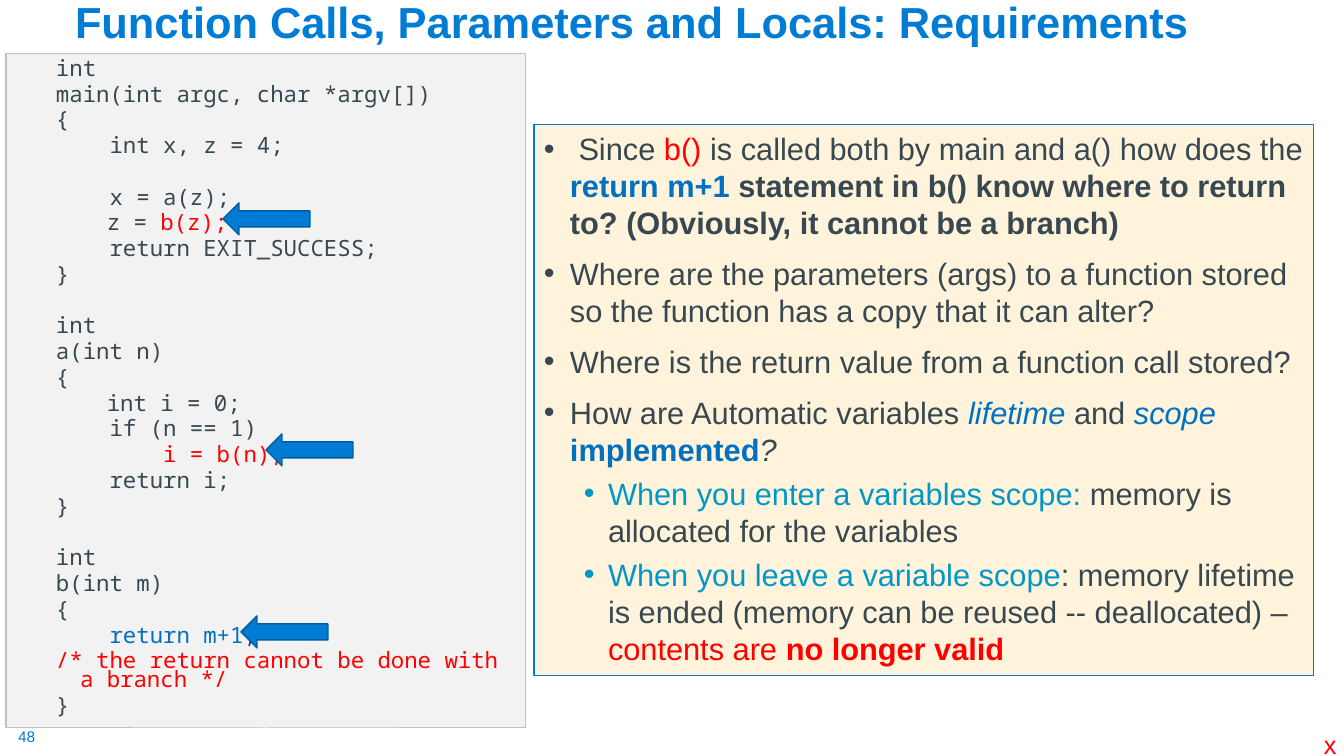
from lxml import etree
from pptx import Presentation
from pptx.dml.color import RGBColor
from pptx.enum.shapes import MSO_SHAPE
from pptx.enum.text import MSO_ANCHOR, PP_ALIGN
from pptx.oxml.ns import qn
from pptx.util import Pt

RECTANGLE, LEFT_ARROW = MSO_SHAPE.RECTANGLE, MSO_SHAPE.LEFT_ARROW
TOP, BOTTOM = MSO_ANCHOR.TOP, MSO_ANCHOR.BOTTOM
LEFT = PP_ALIGN.LEFT
EMU_PER_PX = 914400 / 100.8
SANS, MONO = "Arial", "Noto Sans Mono"
COLORS = {
    "brand": "007CD5", "arrow_edge": "005C9E", "ink": "384851",
    "blue": "0070C0", "teal": "0098C9", "red": "FF0000",
    "code_fill": "F2F2F2", "code_edge": "BFBFBF", "notes_fill": "FFF4DB",
}
CODE_LEADING, CODE_GAP = 13.4, 5

# Each block is a list of lines, each line a list of (text, colour) runs.
CODE_BLOCKS = [
    [
        [("int", "ink")],
        [("main(int argc, char *argv[])", "ink")],
        [("{", "ink")],
        [("    int x, z = 4;", "ink")],
    ],
    [
        [("    x = a(z);", "ink")],
        [("\t  z = ", "ink"), ("b(z);", "red")],
        [("    return EXIT_SUCCESS;", "ink")],
        [("}", "ink")],
    ],
    [
        [("int", "ink")],
        [("a(int n)", "ink")],
        [("{", "ink")],
        [("\t  int i = 0;", "ink")],
        [("    if (n == 1)", "ink")],
        [("        i = b(n);", "red")],
        [("    return i;", "ink")],
        [("}", "ink")],
    ],
    [
        [("int", "ink")],
        [("b(int m)", "ink")],
        [("{", "ink")],
        [("    return m+1", "blue"), (";", "ink")],
        [("/* the return cannot be done with a branch */", "red")],
        [("}", "ink")],
    ],
]

# Each question is (level, runs); a run may name bold or italic.
QUESTIONS = [
    (0, [(" Since ", "ink"), ("b() ", "red"),
         ("is called both by main and a() how does the ", "ink"),
         ("return m+1 ", "blue", "bold"),
         ("statement in b() know where to return to? "
          "(Obviously, it cannot be a branch)", "ink", "bold")]),
    (0, [("Where are the parameters (args) to a function stored "
          "so the function has a copy that it can alter?", "ink")]),
    (0, [("Where is the return value from a function call stored?", "ink")]),
    (0, [("How are Automatic variables ", "ink"),
         ("lifetime ", "blue", "italic"), ("and ", "ink"),
         ("scope ", "blue", "italic"), ("implemented", "blue", "bold"),
         ("?", "ink", "italic")]),
    (1, [("When you enter a variables scope: ", "teal"),
         ("memory is allocated for the variables", "ink")]),
    (1, [("When you leave a variable scope", "teal"),
         (": memory lifetime is ended (memory can be reused "
          "-- deallocated) – ", "ink"),
         ("contents are ", "red"), ("no longer valid", "red", "bold")]),
]
QUESTION_INDENTS = [(26, 26), (64, 24)]
QUESTION_GAPS = [10, 5]
CALL_ARROWS = [(223, 203), (266, 434), (241, 616)]


def px(length):
    return round(length * EMU_PER_PX)


def color(name):
    return RGBColor.from_string(COLORS[name])


def add_block(slide, kind, box, fill, edge, edge_width):
    block = slide.shapes.add_shape(kind, *map(px, box))
    block.shadow.inherit = False
    block.fill.solid()
    block.fill.fore_color.rgb = color(fill)
    block.line.color.rgb = color(edge)
    block.line.width = Pt(edge_width)
    return block


def set_frame(frame, anchor=TOP, wrap=True, insets=(10, 5, 10, 5)):
    """Set anchoring, wrapping and the left, top, right, bottom insets."""
    frame.vertical_anchor = anchor
    frame.word_wrap = wrap
    (frame.margin_left, frame.margin_top,
     frame.margin_right, frame.margin_bottom) = map(px, insets)


def write(frame, runs, *, size, font=SANS, bold=False, leading=None, before=0,
          indent=None, level=0, bullet=False):
    """Append one paragraph; indent is (left margin, hanging) in px."""
    first = not frame.paragraphs[0].runs
    paragraph = frame.paragraphs[0] if first else frame.add_paragraph()
    paragraph.alignment = LEFT
    paragraph.level = level
    if leading:
        paragraph.line_spacing = leading
    if not first:
        paragraph.space_before = Pt(before)
    properties = paragraph._p.get_or_add_pPr()
    if indent:
        margin, hanging = indent
        properties.set("marL", str(px(margin)))
        properties.set("indent", str(-px(hanging)))
    if bullet:
        etree.SubElement(properties, qn("a:buFont"), typeface=SANS)
        etree.SubElement(properties, qn("a:buChar"), char="•")
    for text, tone, *styles in runs:
        run = paragraph.add_run()
        run.text = text
        run.font.name = font
        run.font.size = Pt(size)
        run.font.bold = bold or "bold" in styles
        run.font.italic = "italic" in styles
        run.font.color.rgb = color(tone)


def add_label(slide, box, text, tone, *, size, bold=False, leading=None,
              **frame_format):
    frame = slide.shapes.add_textbox(*map(px, box)).text_frame
    set_frame(frame, **frame_format)
    write(frame, [(text, tone)], size=size, bold=bold, leading=leading)


def add_code_panel(slide, box):
    frame = add_block(slide, RECTANGLE, box, "code_fill", "code_edge",
                      0.75).text_frame
    set_frame(frame, insets=(10, 9, 10, 5))
    for lines in CODE_BLOCKS:
        for number, runs in enumerate(lines):
            gap = CODE_GAP if number else 2 * CODE_GAP + CODE_LEADING
            write(frame, runs, size=16, font=MONO, leading=Pt(CODE_LEADING),
                  before=gap, indent=(64, 24))


def add_call_arrows(slide, panel):
    left, top = panel[:2]
    for x, y in CALL_ARROWS:
        add_block(slide, LEFT_ARROW, (left + x - 6, top + y - 53, 87, 32),
                  "brand", "arrow_edge", 1)


def add_questions(slide, box):
    frame = add_block(slide, RECTANGLE, box, "notes_fill", "brand",
                      0.75).text_frame
    set_frame(frame)
    for level, runs in QUESTIONS:
        write(frame, runs, size=22, leading=Pt(26.4), level=level, bullet=True,
              before=QUESTION_GAPS[level], indent=QUESTION_INDENTS[level])


def main():
    deck = Presentation()
    deck.slide_width, deck.slide_height = px(1344), px(756)
    slide = deck.slides.add_slide(deck.slide_layouts[6])
    code_box = (6, 53, 520, 675)
    add_label(slide, (18, 727, 19, 19), "48", "brand", size=11, wrap=False,
              insets=(0, 0, 0, 0))
    add_label(slide, (65, 0, 1159, 53),
              "Function Calls, Parameters and Locals: Requirements", "brand",
              size=31, bold=True, leading=0.9, anchor=BOTTOM)
    add_code_panel(slide, code_box)
    add_questions(slide, (534, 125, 780, 551))
    add_label(slide, (1314, 724, 33, 40), "x", "red", size=18, wrap=False)
    add_call_arrows(slide, code_box)
    deck.save("out.pptx")


if __name__ == "__main__":
    main()
